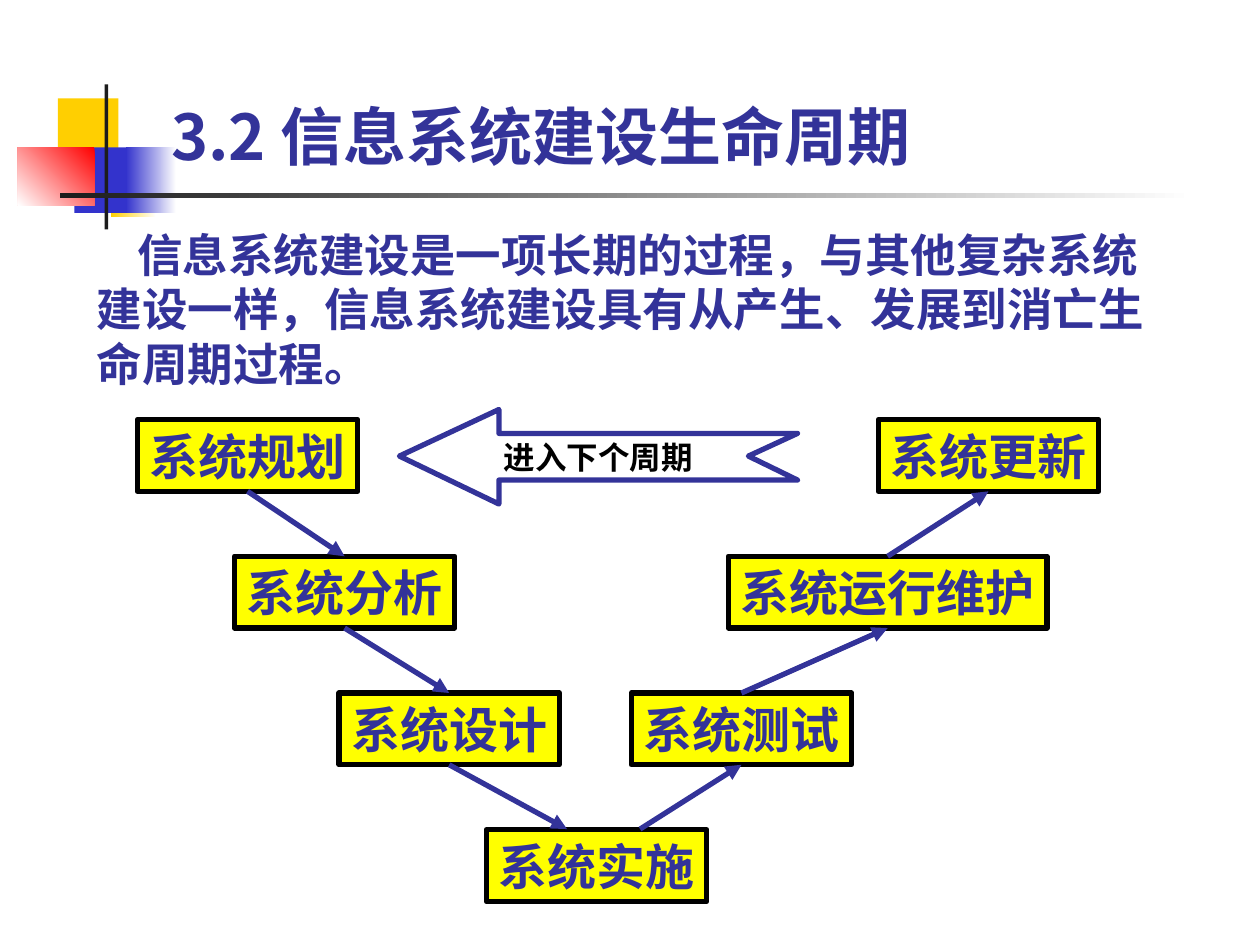
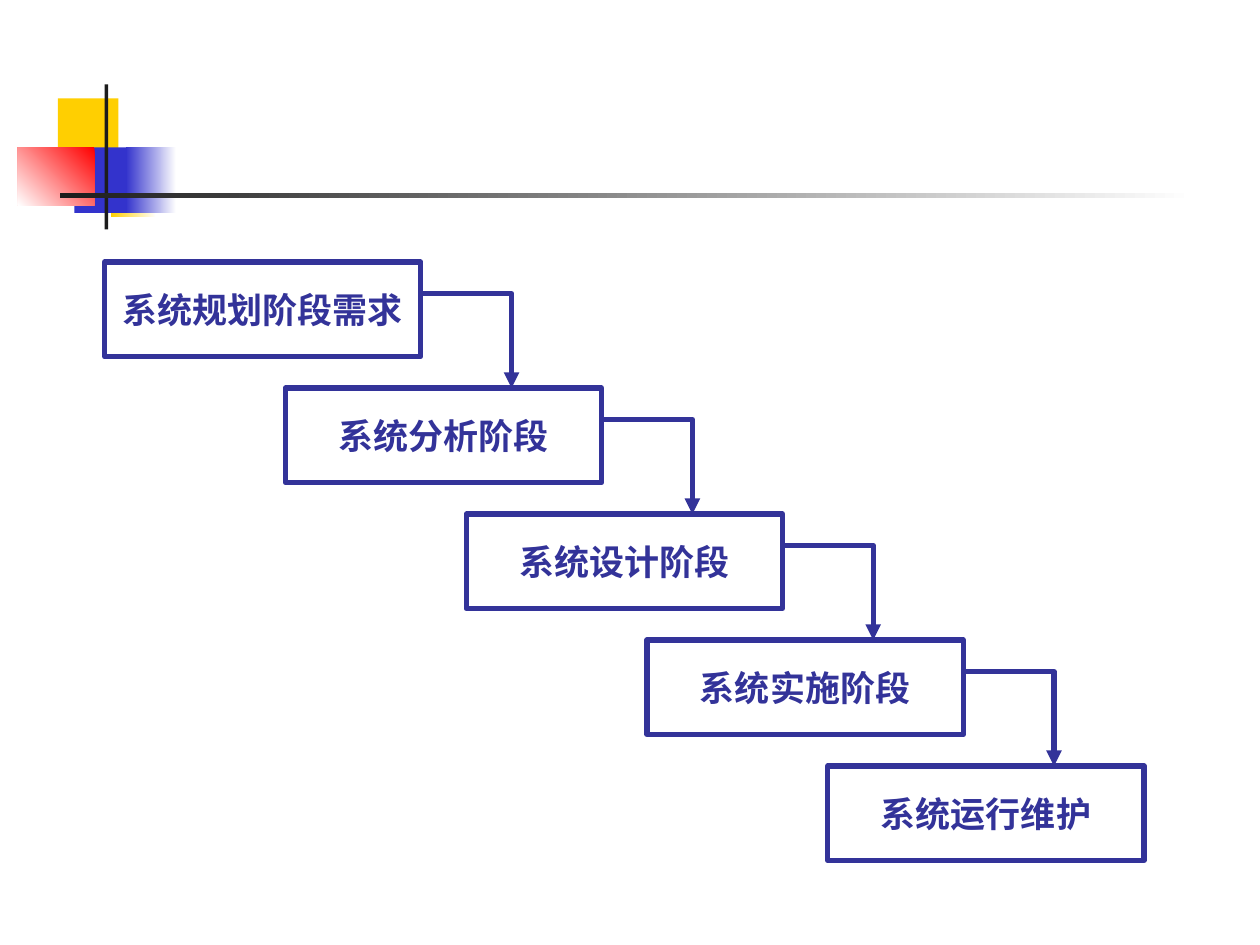
from lxml import etree
from pptx import Presentation
from pptx.dml.color import RGBColor
from pptx.enum.shapes import MSO_CONNECTOR, MSO_SHAPE
from pptx.enum.text import MSO_ANCHOR as Anchor, PP_ALIGN as Align
from pptx.oxml import parse_xml
from pptx.oxml.ns import nsdecls, qn
from pptx.util import Inches, Pt

NAVY, WHITE, BLACK = "333399", "FFFFFF", "000000"
GOLD, BLUE, RED, INK, YELLOW = "FFCF01", "3333CC", "FF0000", "1C1C1C", "FFFF00"
SANS, SERIF = "Noto Sans CJK SC", "Times New Roman"
LINE_WIDTH = 3
TOP, BOTTOM = 0, 2  # connection sites of a rectangle


def color(hex_string):
    return RGBColor.from_string(hex_string)


def inches(*values):
    return [Inches(value) for value in values]


class Deck:
    """Holds the shared style and the slide being drawn."""

    def __init__(self):
        self.presentation = Presentation()
        self.presentation.slide_width, self.presentation.slide_height = inches(10, 7.5)
        self.slide = None

    def new_slide(self):
        self.slide = self.presentation.slides.add_slide(self.presentation.slide_layouts[6])
        # Corner squares
        self.rectangle((0.46, 0.78, 0.48, 0.52), GOLD)
        self.fade((0.88, 1.2, 0.36, 0.52), WHITE, GOLD)
        self.rectangle((0.59, 1.17, 0.46, 0.52), BLUE)
        self.fade((1, 1.17, 0.4, 0.52), WHITE, BLUE)
        self.fade((0.14, 1.17, 0.61, 0.46), RED, WHITE, 225)
        # Crossing rules
        self.rectangle((0.83, 0.67, 0.03, 1.15), INK)
        self.fade((0.48, 1.53, 9, 0.04), WHITE, INK)

    def rectangle(self, place, fill, line=None):
        shape = self.slide.shapes.add_shape(MSO_SHAPE.RECTANGLE, *inches(*place))
        self.paint(shape, fill, line)
        return shape

    def fade(self, place, first, last, angle=180):
        shape = self.rectangle(place, first)
        shape.fill.gradient()
        shape.fill.gradient_angle = angle
        for stop, shade in zip(shape.fill.gradient_stops, (first, last)):
            stop.color.rgb = color(shade)

    def paint(self, shape, fill, line):
        shape.shadow.inherit = False
        if fill:
            shape.fill.solid()
            shape.fill.fore_color.rgb = color(fill)
        else:
            shape.fill.background()
        if line:
            shape.line.color.rgb = color(line)
            shape.line.width = Pt(LINE_WIDTH)
        else:
            shape.line.fill.background()

    def label(self, shape, text, size, shade=NAVY, font_name=SANS, align=Align.CENTER,
              anchor=Anchor.MIDDLE, wrap=False, indent=0):
        frame = shape.text_frame
        frame.word_wrap = wrap
        frame.vertical_anchor = anchor
        paragraph = frame.paragraphs[0]
        paragraph.alignment = align
        if indent:
            paragraph._p.get_or_add_pPr().set("indent", str(Inches(indent)))
        run = paragraph.add_run()
        run.text = text
        run.font.size, run.font.bold, run.font.name = Pt(size), True, font_name
        run.font.color.rgb = color(shade)
        east_asian = etree.SubElement(run._r.get_or_add_rPr(), qn("a:ea"))
        east_asian.set("typeface", SANS)

    def text(self, place, text, size, **style):
        box = self.slide.shapes.add_textbox(*inches(*place))
        self.label(box, text, size, align=Align.LEFT, wrap=True, **style)

    def box(self, place, text, size, fill, line, **style):
        shape = self.rectangle(place, fill, line)
        self.label(shape, text, size, **style)
        return shape

    def outline(self, points, fill=None, closed=True):
        start, *others = [inches(*point) for point in points]
        builder = self.slide.shapes.build_freeform(*start)
        builder.add_line_segments(others, close=closed)
        shape = builder.convert_to_shape()
        self.paint(shape, fill, NAVY)
        return shape

    def arrowhead(self, shape):
        head = parse_xml(f'<a:tailEnd {nsdecls("a")} type="triangle"/>')
        shape.line._get_or_add_ln().append(head)

    def arrow(self, start, end, begin_joint=None, end_joint=None):
        connector = self.slide.shapes.add_connector(
            MSO_CONNECTOR.STRAIGHT, *inches(*start, *end))
        connector.line.color.rgb = color(NAVY)
        connector.line.width = Pt(LINE_WIDTH)
        self.arrowhead(connector)
        etree.SubElement(connector._element.spPr, qn("a:effectLst"))
        if begin_joint:
            connector.begin_connect(*begin_joint)
        if end_joint:
            connector.end_connect(*end_joint)


def build_life_cycle(deck):
    deck.new_slide()
    deck.text((1.26, 0.5, 8.52, 0.92), "3.2 信息系统建设生命周期", 36, anchor=Anchor.BOTTOM)
    deck.text((0.67, 1.75, 8.74, 1.4),
              "信息系统建设是一项长期的过程，与其他复杂系统建设一样，"
              "信息系统建设具有从产生、发展到消亡生命周期过程。",
              26, anchor=Anchor.TOP, indent=0.32)

    # Stages along the V: left, row, width
    first_top, row_step, height = 3.33, 1.085, 0.57
    stages = {
        "系统规划": (1.09, 0, 1.75),
        "系统分析": (1.86, 1, 1.75),
        "系统设计": (2.69, 2, 1.75),
        "系统实施": (3.86, 3, 1.75),
        "系统测试": (5.01, 2, 1.75),
        "系统运行维护": (5.78, 1, 2.53),
        "系统更新": (6.97, 0, 1.75),
    }
    boxes = [
        deck.box((left, first_top + row * row_step, width, height), name, 28, YELLOW, BLACK)
        for name, (left, row, width) in stages.items()
    ]

    # Arrows: down the left arm, up the right arm; the lowest box is met off centre
    lowest = 3
    entry, leave = (4.5, 6.58), (5.08, 6.58)
    for index, (source, target) in enumerate(zip(boxes, boxes[1:])):
        exit_site, entry_site = (BOTTOM, TOP) if index < lowest else (TOP, BOTTOM)
        deck.arrow(leave, entry,
                   None if index == lowest else (source, exit_site),
                   None if index + 1 == lowest else (target, entry_site))

    # Arrow into the next cycle
    banner = deck.outline(
        [(6.33, 3.44), (3.96, 3.44), (3.96, 3.25), (3.17, 3.62), (3.96, 4),
         (3.96, 3.81), (6.33, 3.81), (5.94, 3.62)], WHITE)
    deck.label(banner, "进入下个周期", 18, BLACK)


def build_waterfall(deck):
    deck.new_slide()
    phases = ["系统规划阶段需求", "系统分析阶段", "系统设计阶段", "系统实施阶段", "系统运行维护"]
    first_left, last_left, first_top = 0.83, 6.57, 2.08
    width, height, drop = 2.51, 0.75, 1
    step = (last_left - first_left) / (len(phases) - 1)
    for index, phase in enumerate(phases):
        left, top = first_left + index * step, first_top + index * drop
        deck.box((left, top, width, height), phase, 20, WHITE, NAVY, font_name=SERIF, wrap=True)
        if index < len(phases) - 1:
            # Elbow down to the next phase
            right, bend = left + width, left + width + 0.72
            elbow = deck.outline(
                [(right, top + 0.25), (bend, top + 0.25), (bend, top + drop)], closed=False)
            deck.arrowhead(elbow)


def main():
    deck = Deck()
    build_life_cycle(deck)
    build_waterfall(deck)
    deck.presentation.save("out.pptx")


if __name__ == "__main__":
    main()
